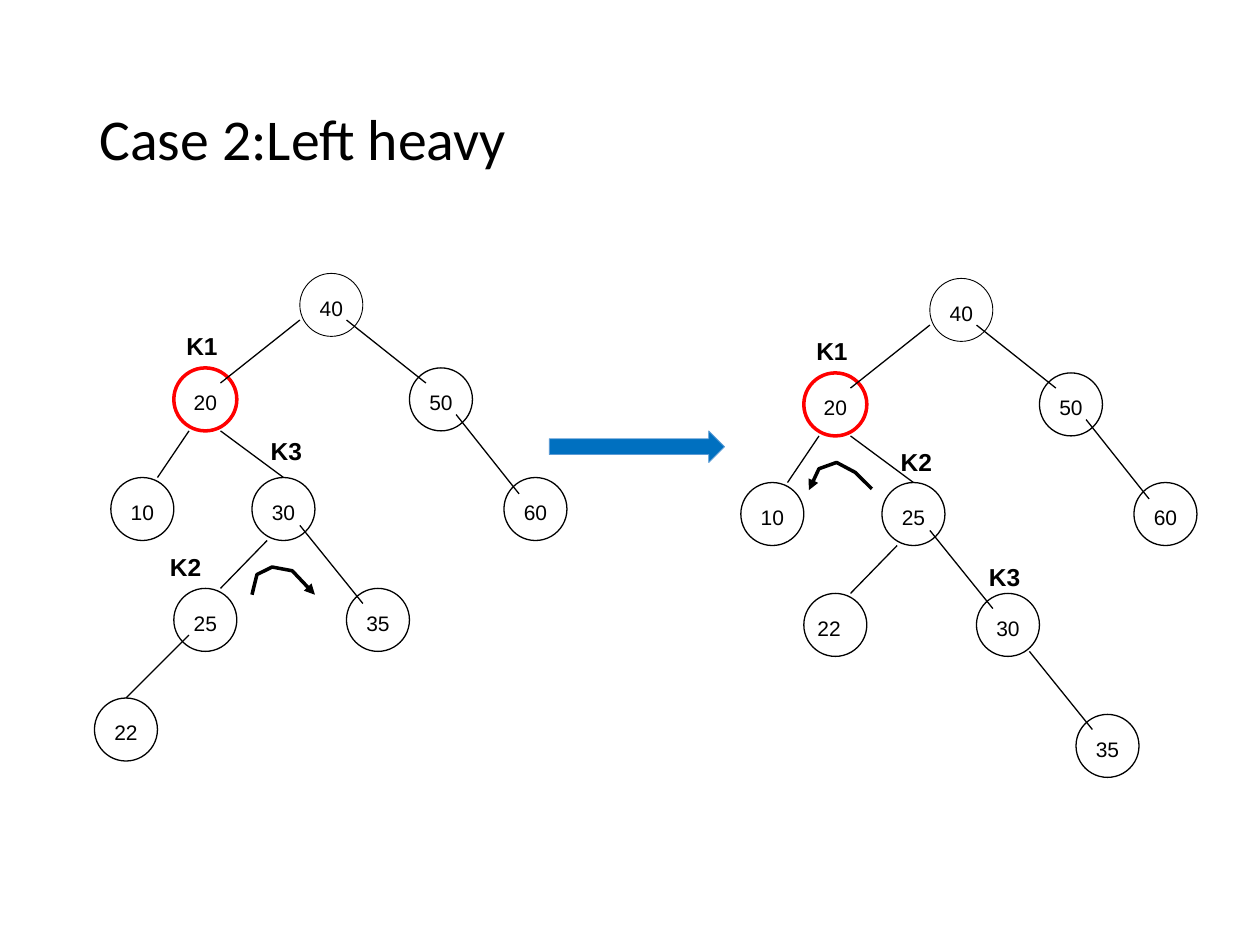
import lxml.etree
import pptx
import pptx.dml.color
import pptx.enum.shapes
import pptx.enum.text
import pptx.oxml.ns
import pptx.util

Inches = pptx.util.Inches
Shape = pptx.enum.shapes.MSO_SHAPE
BLACK, WHITE, RED = "000000", "FFFFFF", "FF0000"
BLUE, LIGHT_BLUE = "0070C0", "5B9BD5"


def colour(hex_code):
    return pptx.dml.color.RGBColor.from_string(hex_code)


class Diagram:
    """Style, current slide, and the group and offset being drawn into."""
    font = "Arial"
    title_font = "Calibri"
    node_size = 0.5
    tag_height = 0.25
    thin, thick = 0.75, 2

    def __init__(self, slide):
        self.slide = slide
        self.shapes = slide.shapes
        self.dx = self.dy = 0

    def start_tree(self, dx, dy):
        self.shapes = self.slide.shapes.add_group_shape().shapes
        self.dx, self.dy = dx, dy

    def place(self, x, y):
        return Inches(x + self.dx), Inches(y + self.dy)

    def outline(self, item, hex_code, width):
        item.line.color.rgb = colour(hex_code)
        item.line.width = pptx.util.Pt(width)

    def set_text(self, item, text, size, font=font, bold=False):
        paragraph = item.text_frame.paragraphs[0]
        paragraph.text = text
        style = paragraph.runs[0].font
        style.name, style.size, style.bold = font, pptx.util.Pt(size), bold
        style.color.rgb = colour(BLACK)
        return paragraph

    def shape(self, kind, x, y, width, height, fill=None, line=None, weight=thin):
        item = self.shapes.add_shape(kind, *self.place(x, y), Inches(width), Inches(height))
        item.shadow.inherit = False
        if fill:
            item.fill.solid()
            item.fill.fore_color.rgb = colour(fill)
        else:
            item.fill.background()
        if line:
            self.outline(item, line, weight)
        else:
            item.line.fill.background()
        return item

    def title(self, text, x, y, width, height):
        box = self.shapes.add_textbox(*self.place(x, y), Inches(width), Inches(height))
        box.text_frame.word_wrap = True
        box.text_frame.vertical_anchor = pptx.enum.text.MSO_ANCHOR.MIDDLE
        self.set_text(box, text, 33, self.title_font).line_spacing = 0.9

    def node(self, key, x, y, line=BLACK, weight=thin, tag_shift=0):
        tag = self.shape(Shape.RECTANGLE, x + tag_shift, y + self.node_size / 4,
                         self.node_size, self.tag_height, fill=WHITE)
        tag.text_frame.vertical_anchor = pptx.enum.text.MSO_ANCHOR.TOP
        self.set_text(tag, key, 12).alignment = pptx.enum.text.PP_ALIGN.CENTER
        self.shape(Shape.OVAL, x, y, self.node_size, self.node_size, line=line, weight=weight)

    def edge(self, x1, y1, x2, y2):
        link = self.shapes.add_connector(pptx.enum.shapes.MSO_CONNECTOR.STRAIGHT,
                                         *self.place(x1, y1), *self.place(x2, y2))
        self.outline(link, BLACK, self.thin)
        lxml.etree.SubElement(link._element.spPr, pptx.oxml.ns.qn("a:effectLst"))

    def label(self, text, x, y):
        box = self.shapes.add_textbox(*self.place(x, y), Inches(0.45), Inches(0.34))
        box.text_frame.word_wrap = False
        box.text_frame.auto_size = pptx.enum.text.MSO_AUTO_SIZE.SHAPE_TO_FIT_TEXT
        self.set_text(box, text, 14, bold=True)

    def rotation(self, points):
        start, *rest = [self.place(x, y) for x, y in points]
        builder = self.shapes.build_freeform(*start)
        builder.add_line_segments(rest, close=False)
        curve = builder.convert_to_shape()
        curve.shadow.inherit = False
        curve.fill.background()
        self.outline(curve, BLACK, self.thick)
        lxml.etree.SubElement(curve._element.spPr.get_or_add_ln(),
                              pptx.oxml.ns.qn("a:tailEnd"), type="triangle")


# Parts shared by both trees, placed as in the left one
SHARED_NODES = [
    ("10", 0.88, 3.79), ("20", 1.38, 2.92, RED, Diagram.thick),
    ("40", 2.38, 2.17, BLACK, 0.5), ("50", 3.25, 2.92), ("60", 4, 3.79),
]
SHARED_EDGES = [
    (2.38, 2.54, 1.75, 3.04), (1.5, 3.42, 1.25, 3.79), (1.75, 3.42, 2.25, 3.79),
    (2.12, 4.29, 1.75, 4.67), (2.38, 4.17, 2.88, 4.79), (3.62, 3.29, 4.12, 3.92),
    (2.75, 2.54, 3.38, 3.04),
]

# What differs: positions are relative to each tree's offset
TREES = [
    {
        "offset": (0, 0),
        "nodes": [("22", 0.75, 5.54), ("25", 1.38, 4.67), ("35", 2.75, 4.67), ("30", 2, 3.79)],
        "edge": (1.5, 5.04, 1, 5.54),
        "labels": [("K1", 1.38, 2.58), ("K3", 2.05, 3.41), ("K2", 1.25, 4.33)],
        "rotation": [(2, 4.72), (2.04, 4.56), (2.16, 4.5), (2.32, 4.53), (2.5, 4.72)],
    },
    {
        "offset": (5, 0.04),
        "nodes": [("22", 1.38, 4.67, BLACK, Diagram.thin, -0.05), ("30", 2.75, 4.67),
                  ("25", 2, 3.79), ("35", 3.54, 5.63)],
        "edge": (3.17, 5.13, 3.67, 5.75),
        "labels": [("K1", 1.38, 2.58), ("K3", 2.75, 4.37), ("K2", 2.05, 3.46)],
        "rotation": [(1.92, 3.84), (1.79, 3.71), (1.64, 3.63), (1.5, 3.68), (1.42, 3.85)],
    },
]


def main():
    deck = pptx.Presentation()
    deck.slide_width, deck.slide_height = Inches(10), Inches(7.5)
    diagram = Diagram(deck.slides.add_slide(deck.slide_layouts[6]))

    # Title and the arrow between the trees
    diagram.title("Case 2:Left heavy", 0.69, 0.4, 8.62, 1.45)
    diagram.shape(Shape.RIGHT_ARROW, 4.36, 3.42, 1.39, 0.25, BLUE, LIGHT_BLUE, 0.5)

    # Trees before and after the rotation
    for tree in TREES:
        diagram.start_tree(*tree["offset"])
        for node in tree["nodes"] + SHARED_NODES:
            diagram.node(*node)
        for edge in SHARED_EDGES + [tree["edge"]]:
            diagram.edge(*edge)
        for label in tree["labels"]:
            diagram.label(*label)
        diagram.rotation(tree["rotation"])

    deck.save("out.pptx")


if __name__ == "__main__":
    main()
